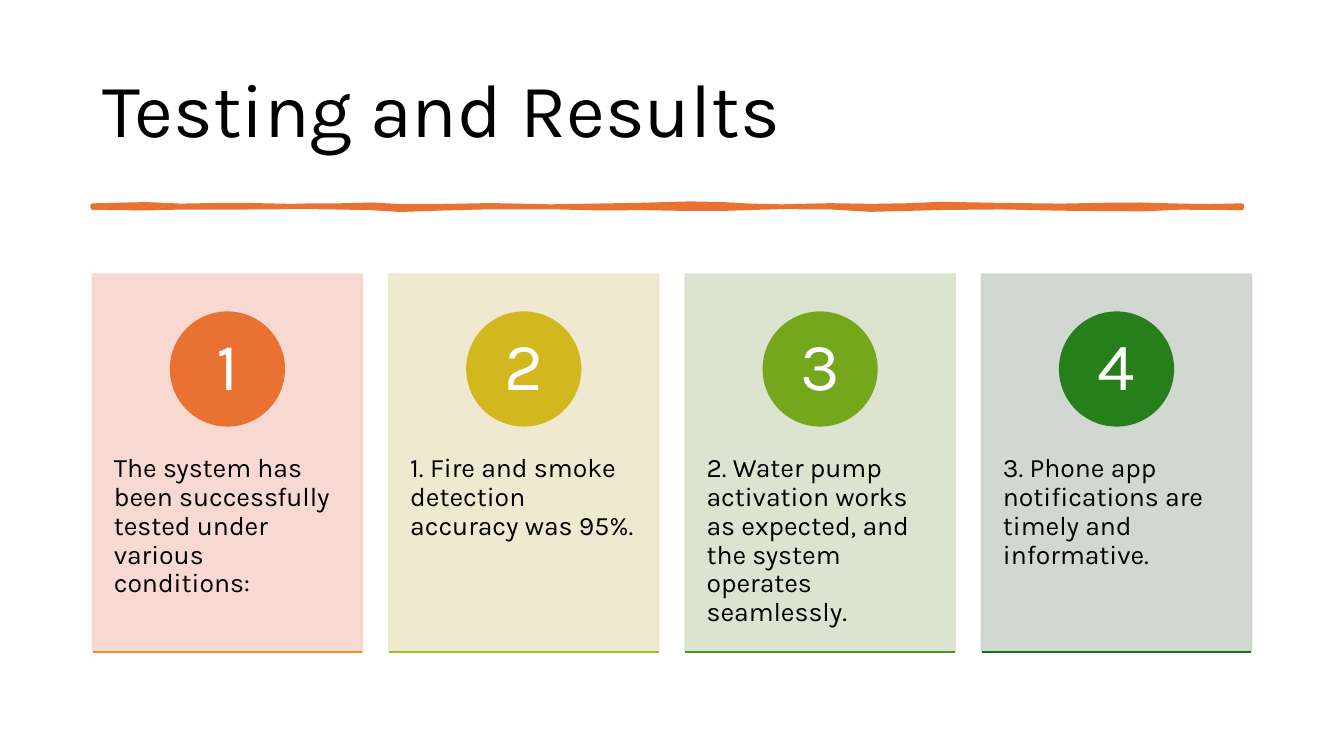
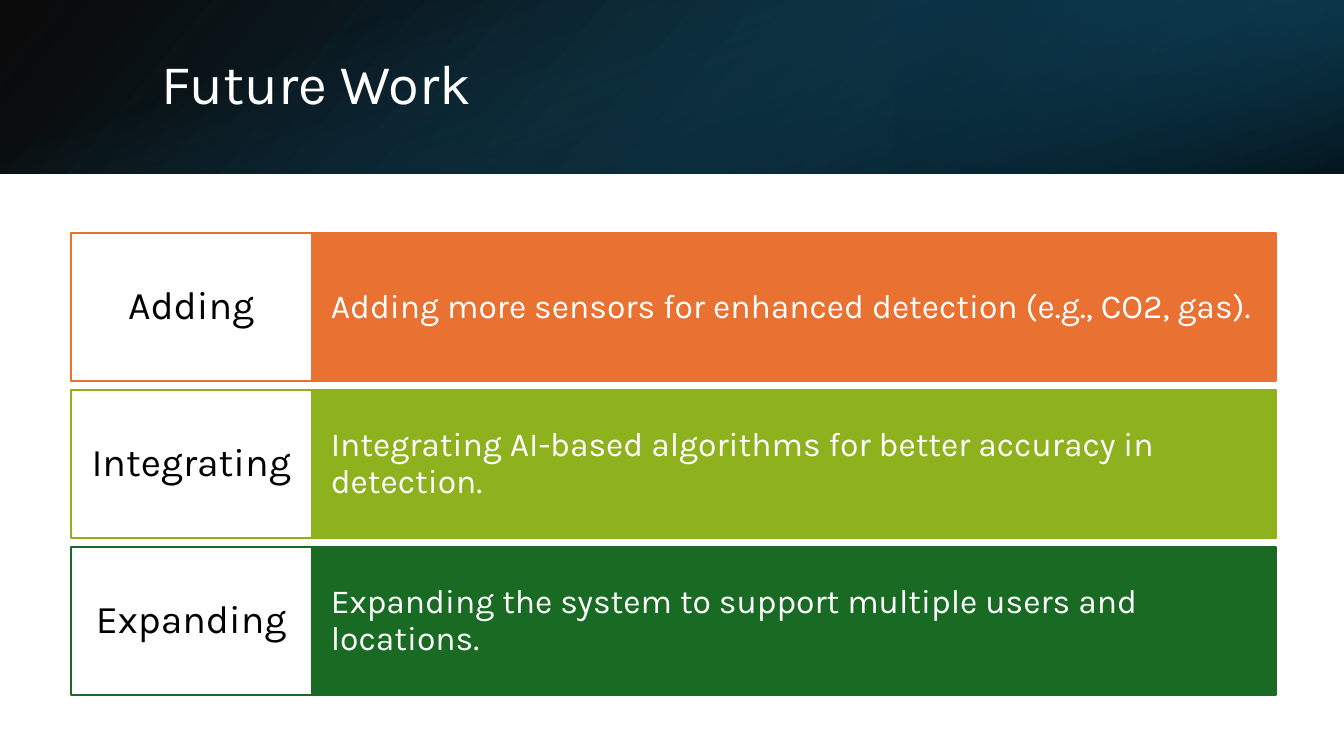
from dataclasses import dataclass

from lxml import etree
from pptx import Presentation
from pptx import util as u
from pptx.dml.color import RGBColor
from pptx.enum import shapes, text
from pptx.oxml.ns import qn

Pt = u.Pt


@dataclass(frozen=True)
class Theme:
    font: str = "Karla"
    dark: str = "000000"
    light: str = "FFFFFF"
    accent: str = "E97132"
    title: float = 54
    band_title: float = 40
    number: float = 48
    card: float = 19
    label: float = 28
    detail: float = 24
    outline: float = 1.5
    stroke: float = 3.25


THEME = Theme()
MIDDLE, TOP = text.MSO_ANCHOR.MIDDLE, text.MSO_ANCHOR.TOP
LEFT, CENTER = text.PP_ALIGN.LEFT, text.PP_ALIGN.CENTER
RECT, OVAL = shapes.MSO_SHAPE.RECTANGLE, shapes.MSO_SHAPE.OVAL

# Content: text, card fill, circle fill, base line
RESULTS = [
    ("The system has been successfully tested under various conditions:",
     "F7D5CE", "E97132", "E49622"),
    ("1. Fire and smoke detection accuracy was 95%.",
     "EEE7CB", "D2B81E", "ABBC1E"),
    ("2. Water pump activation works as expected, and the system operates seamlessly.",
     "D8E2CA", "75A71D", "49931D"),
    ("3. Phone app notifications are timely and informative.",
     "CCD4CD", "277F1B", "196B24"),
]
# Content: label, detail, colour
PLANS = [
    ("Adding", "Adding more sensors for enhanced detection (e.g., CO2, gas).", "E97132"),
    ("Integrating", "Integrating AI-based algorithms for better accuracy in detection.", "8EB21E"),
    ("Expanding", "Expanding the system to support multiple users and locations.", "196B24"),
]
# Brush stroke: distance along the rule, rise above and drop below its axis
BRUSH = [
    (0, 0.7, 0.7), (38, 1.6, 1.1), (63, 0.5, 0.5), (84, 0.9, 0.6),
    (106, 1.1, 0.5), (142, 0.3, 0.2), (156, 0.7, 0.2), (171, 0.6, 0.4),
    (199, 1.3, 0.9), (220, 0.2, 2.2), (249, 0.2, 1.2), (284, 0.9, 0.3),
    (327, 0.0, 0.3), (363, 0.6, 1.1), (392, 1.1, 0.9), (427, 2.1, 1.5),
    (449, 1.6, 1.5), (470, 0.5, 0.8), (492, 0.0, 0.2), (527, 0.8, 0.4),
    (556, 0.3, 2.1), (584, 0.8, 1.4), (606, 1.8, 0.8), (649, 1.0, 0.4),
    (692, 0.5, 1.3), (728, 1.2, 1.6), (749, 1.3, 1.8), (777, 0.5, 0.6),
    (799, 0.2, 0.7), (820.8, 0.7, 0.9),
]
# Band layers: box, rotation, flipped, angle, stops (position, colour, opacity)
BAND = [
    ((0, 0, 960, 124), 0, True, 140, [(0, "000000", 96), (100, "104862", 100)]),
    ((640, 0, 320, 124), 180, True, 320, [(19, "0B3041", 68), (100, "156082", 79)]),
    ((418, -418, 124, 960), 90, False, 340, [(23, "156082", 0), (99, "000000", 74)]),
]


def rgb(color):
    return RGBColor.from_string(color)


def set_opacity(element, *percents):
    for color, percent in zip(element.iter(qn("a:srgbClr")), percents):
        if percent < 100:
            etree.SubElement(color, qn("a:alpha")).set("val", str(percent * 1000))


def set_text(box, words, size, color, align=LEFT, anchor=MIDDLE, insets=(0, 0)):
    """Insets are the side margin and the top margin."""
    frame = box.text_frame
    frame.text = words
    frame.word_wrap = True
    frame.auto_size = text.MSO_AUTO_SIZE.NONE
    frame.vertical_anchor = anchor
    side, top = insets
    frame.margin_left = frame.margin_right = Pt(side)
    frame.margin_top, frame.margin_bottom = Pt(top), Pt(0)
    para = frame.paragraphs[0]
    para.alignment, para.line_spacing = align, 0.9
    span = para.runs[0]
    span.font.name, span.font.size = THEME.font, Pt(size)
    span.font.color.rgb = rgb(color)


def add_title(page, words, size, color, bounds):
    title = page.shapes.title
    title.left, title.top, title.width, title.height = map(Pt, bounds)
    set_text(title, words, size, color, insets=(7.2, 0))
    page.shapes.element.append(title.element)  # bring in front of the band


def add_box(page, kind, bounds, fill, line=None):
    box = page.shapes.add_shape(kind, *map(Pt, bounds))
    box.shadow.inherit = False
    box.fill.solid()
    box.fill.fore_color.rgb = rgb(fill)
    box.line.color.rgb = rgb(line or fill)
    box.line.width = Pt(THEME.outline)
    return box


def add_rule(page, left, top, width, color):
    rule = page.shapes.add_connector(
        shapes.MSO_CONNECTOR.STRAIGHT, Pt(left), Pt(top), Pt(left + width), Pt(top))
    rule.line.color.rgb = rgb(color)
    rule.line.width = Pt(THEME.outline)
    etree.SubElement(rule.element.spPr, qn("a:effectLst"))


def add_brush(page, left, axis):
    upper = [(Pt(left + x), Pt(axis - rise)) for x, rise, drop in BRUSH]
    lower = [(Pt(left + x), Pt(axis + drop)) for x, rise, drop in reversed(BRUSH)]
    builder = page.shapes.build_freeform(*upper[0])
    builder.add_line_segments(upper[1:] + lower, close=True)
    brush = builder.convert_to_shape()
    brush.shadow.inherit = False
    brush.fill.solid()
    brush.fill.fore_color.rgb = rgb(THEME.accent)
    brush.line.color.rgb = rgb(THEME.accent)
    brush.line.width = Pt(THEME.stroke)
    etree.SubElement(brush.element.spPr.find(qn("a:ln")), qn("a:round"))


def add_band(page):
    for bounds, rotation, flipped, angle, stops in BAND:
        layer = page.shapes.add_shape(RECT, *map(Pt, bounds))
        layer.shadow.inherit = False
        layer.line.fill.background()
        layer.rotation = rotation
        if flipped:
            layer.element.spPr.find(qn("a:xfrm")).set("flipH", "1")
        layer.fill.gradient()
        layer.fill.gradient_angle = 360 - angle
        for stop, (position, color, opacity) in zip(layer.fill.gradient_stops, stops):
            stop.position = position / 100
            stop.color.rgb = rgb(color)
        set_opacity(layer.element.spPr, *(opacity for _, _, opacity in stops))


def build_results(page):
    add_title(page, "Testing and Results", THEME.title, THEME.dark, (66, 29, 828, 104))
    add_brush(page, 66.24, 147.6)

    # Numbered cards
    left, top, width, height, pitch = 66.2, 196, 192.5, 269.5, 211.7
    circle = 80.8
    for index, (words, fill, accent, base) in enumerate(RESULTS):
        x = left + index * pitch
        card = add_box(page, RECT, (x, top, width, height), fill)
        set_opacity(card.element.spPr, 90, 90)
        set_text(card, words, THEME.card, THEME.dark, anchor=TOP, insets=(15.1, 129))
        badge = add_box(page, OVAL, (x + (width - circle) / 2, 223.2, circle, circle), accent)
        set_text(badge, str(index + 1), THEME.number, THEME.light, CENTER)
        add_rule(page, x, top + height, width, base)


def build_plans(page):
    add_band(page)
    add_title(page, "Future Work", THEME.band_title, THEME.light, (108, 27, 790, 69))

    # Label and detail rows
    left, top, height, pitch = 50.6, 166.6, 105.6, 112.15
    label_width, detail_width = 172, 688.8
    for index, (name, words, color) in enumerate(PLANS):
        y = top + index * pitch
        detail = add_box(page, RECT, (left + label_width, y, detail_width, height), color)
        set_text(detail, words, THEME.detail, THEME.light, insets=(13.7, 0))
        label = add_box(page, RECT, (left, y, label_width, height), THEME.light, color)
        set_text(label, name, THEME.label, THEME.dark, CENTER, insets=(9.4, 0))


def main():
    deck = Presentation()
    deck.slide_width, deck.slide_height = Pt(960), Pt(540)
    title_only = deck.slide_layouts[5]
    for build in (build_results, build_plans):
        build(deck.slides.add_slide(title_only))
    deck.save("out.pptx")


if __name__ == "__main__":
    main()
